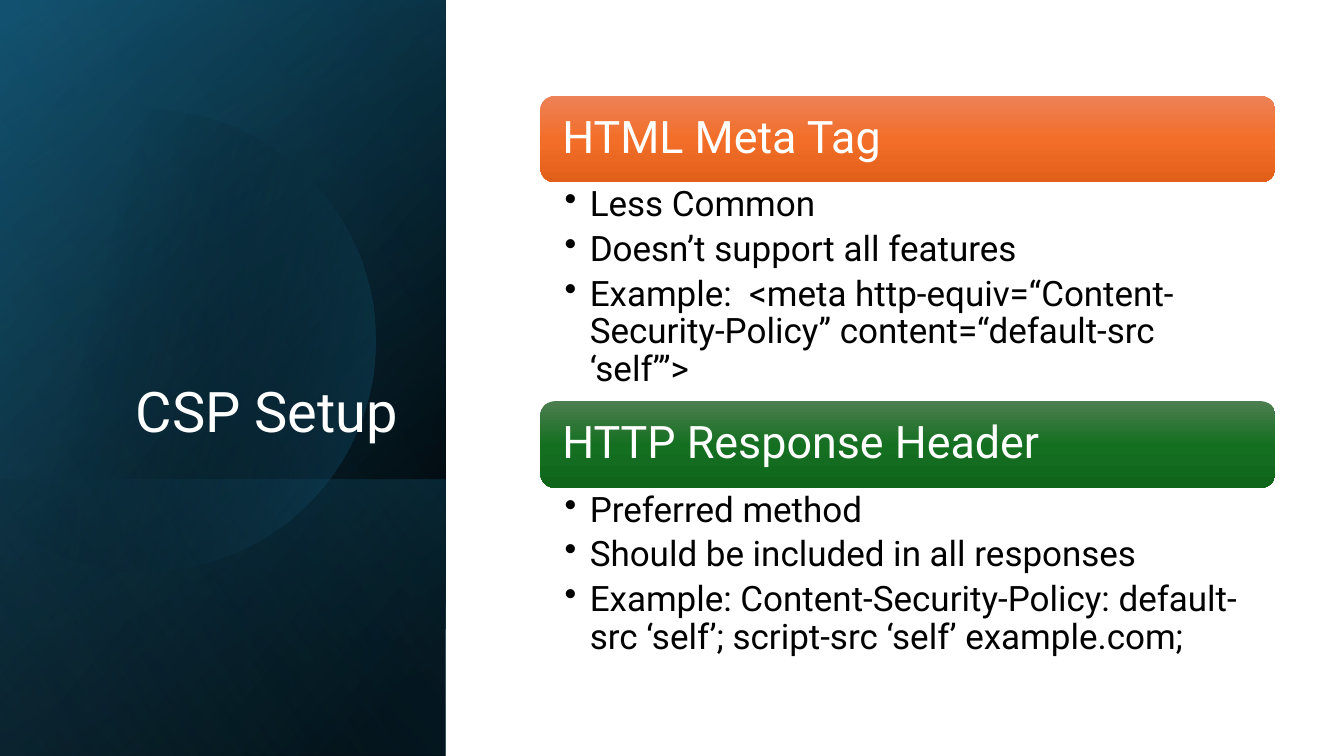
from dataclasses import dataclass
from math import acos, cos, sin

from pptx import Presentation
from pptx.dml.color import RGBColor
from pptx.enum.shapes import MSO_SHAPE
from pptx.enum.text import MSO_ANCHOR, MSO_AUTO_SIZE, PP_ALIGN
from pptx.oxml import parse_xml
from pptx.oxml.ns import nsdecls, qn
from pptx.util import Inches, Pt


@dataclass(frozen=True)
class Theme:
    """Colours, gradients and type sizes of the slide."""

    font: str = "Roboto"
    light: str = "FFFFFF"
    dark: str = "000000"
    title_size: int = 40
    heading_size: int = 32
    bullet_size: int = 25
    base: tuple = ((8, "000000", 100), (100, "104862", 100))
    shade: tuple = ((0, "000000", 0), (99, "156082", 46))
    lower: tuple = ((2, "156082", 29), (100, "000000", 30))
    disc: tuple = ((29, "000000", 0), (100, "156082", 43))
    glow: tuple = ((0, "000000", 0), (99, "46B1E1", 11))
    orange: tuple = ((0, "ED8257", 100), (50, "F26E29", 100), (100, "E25F1A", 100))
    green: tuple = ((0, "4D7E50", 100), (50, "156F21", 100), (100, "0F661B", 100))


class SlideBuilder:
    """Draws themed elements on a grid of 133.3 columns by 75 rows."""

    def __init__(self, presentation, theme):
        """Set the slide size and add a title-only slide."""
        presentation.slide_width, presentation.slide_height = Inches(13.33), Inches(7.5)
        self.theme = theme
        self.column = presentation.slide_width / 133.3
        self.row = presentation.slide_height / 75
        self.slide = presentation.slides.add_slide(presentation.slide_layouts[5])

    def box(self, left, top, width, height):
        """Turn grid units into slide lengths."""
        return (round(left * self.column), round(top * self.row),
                round(width * self.column), round(height * self.row))

    def paint(self, shape, stops, angle):
        """Give a shape a linear gradient without line or shadow."""
        shape.shadow.inherit = False
        shape.line.fill.background()
        shape.fill.gradient()
        entries = "".join(
            f'<a:gs pos="{position * 1000}"><a:srgbClr val="{color}">'
            f'<a:alpha val="{opacity * 1000}"/></a:srgbClr></a:gs>'
            for position, color, opacity in stops)
        gradient = parse_xml(
            f'<a:gradFill {nsdecls("a")} rotWithShape="1"><a:gsLst>{entries}</a:gsLst>'
            f'<a:lin ang="{angle * 60000}" scaled="0"/></a:gradFill>')
        properties = shape.element.spPr
        properties.replace(properties.find(qn("a:gradFill")), gradient)

    def panel(self, left, top, width, height, stops, angle):
        """Add a mirrored rectangle turned by 90 degrees to fill the given area."""
        shift = (width - height) / 2
        shape = self.slide.shapes.add_shape(
            MSO_SHAPE.RECTANGLE, *self.box(left + shift, top - shift, height, width))
        shape.rotation = 90
        shape.element.spPr.find(qn("a:xfrm")).set("flipH", "1")
        self.paint(shape, stops, angle)

    def disc(self, center_x, center_y, radius, stops, angle):
        """Add a circle cut off at the left edge of the slide."""
        limit = acos(-center_x / radius)
        steps = 90
        angles = [limit * (2 * step / steps - 1) for step in range(steps + 1)]
        points = [(round((center_x + radius * cos(turn)) * self.column),
                   round((center_y + radius * sin(turn)) * self.row)) for turn in angles]
        builder = self.slide.shapes.build_freeform(*points[0])
        builder.add_line_segments(points[1:], close=True)
        self.paint(builder.convert_to_shape(), stops, angle)

    def add_text(self, paragraph, text, size, color):
        """Add one styled run to a paragraph."""
        paragraph.line_spacing = 0.9
        run = paragraph.add_run()
        run.text = text
        run.font.name = self.theme.font
        run.font.size = Pt(size)
        run.font.color.rgb = RGBColor.from_string(color)

    def frame(self, shape, anchor, horizontal, vertical):
        """Set wrapping, anchor and margins of a text frame."""
        frame = shape.text_frame
        frame.word_wrap = True
        frame.auto_size = MSO_AUTO_SIZE.NONE
        frame.vertical_anchor = anchor
        frame.margin_left = frame.margin_right = round(horizontal * self.column)
        frame.margin_top = frame.margin_bottom = round(vertical * self.row)
        return frame

    def title(self, left, top, width, height, text):
        """Place the title in front of the side panel."""
        title = self.slide.shapes.title
        title.left, title.top, title.width, title.height = self.box(left, top, width, height)
        title.element.getparent().append(title.element)
        paragraph = self.frame(title, MSO_ANCHOR.BOTTOM, 1, 0.5).paragraphs[0]
        paragraph.alignment = PP_ALIGN.RIGHT
        self.add_text(paragraph, text, self.theme.title_size, self.theme.light)

    def heading(self, left, top, width, height, text, stops):
        """Add a rounded bar with a heading."""
        bar = self.slide.shapes.add_shape(
            MSO_SHAPE.ROUNDED_RECTANGLE, *self.box(left, top, width, height))
        self.paint(bar, stops, 90)
        paragraph = self.frame(bar, MSO_ANCHOR.MIDDLE, 1.75, 1.3).paragraphs[0]
        paragraph.alignment = PP_ALIGN.LEFT
        self.add_text(paragraph, text, self.theme.heading_size, self.theme.light)

    def bullets(self, left, top, width, height, items):
        """Add a bulleted list."""
        textbox = self.slide.shapes.add_textbox(*self.box(left, top, width, height))
        frame = self.frame(textbox, MSO_ANCHOR.TOP, 2.4, 0.4)
        for index, item in enumerate(items):
            paragraph = frame.paragraphs[0] if index == 0 else frame.add_paragraph()
            paragraph.space_after = Pt(self.theme.bullet_size * 0.2)
            self.add_text(paragraph, item, self.theme.bullet_size, self.theme.dark)
            properties = paragraph._p.get_or_add_pPr()
            properties.set("marL", str(Inches(0.25)))
            properties.set("indent", str(-Inches(0.25)))
            properties.append(parse_xml(f'<a:buChar {nsdecls("a")} char="•"/>'))


def main():
    """Build and save the slide."""
    presentation = Presentation()
    theme = Theme()
    builder = SlideBuilder(presentation, theme)

    side = (0, 0, 44.2, 75)
    builder.panel(*side, theme.base, 50)
    builder.panel(*side, theme.shade, 30)
    builder.panel(0, 47.6, 44.2, 27.4, theme.lower, 130)
    builder.disc(14.3, 33.8, 22.9, theme.disc, 14)
    builder.panel(*side, theme.glow, 120)
    builder.title(6.4, 18.4, 34.1, 26.2, "CSP Setup")

    left, width, bar_height = 53.6, 72.9, 8.6
    top = 9.5
    sections = (
        ("HTML Meta Tag", theme.orange, 21.7, (
            "Less Common",
            "Doesn’t support all features",
            "Example:  <meta http-equiv=“Content-Security-Policy” content=“default-src ‘self’”>")),
        ("HTTP Response Header", theme.green, 18.1, (
            "Preferred method",
            "Should be included in all responses",
            "Example: Content-Security-Policy: default-src ‘self’; script-src ‘self’ example.com;")),
    )
    for heading, stops, list_height, items in sections:
        builder.heading(left, top, width, bar_height, heading, stops)
        builder.bullets(left, top + bar_height, width, list_height, items)
        top += bar_height + list_height

    presentation.save("out.pptx")


if __name__ == "__main__":
    main()
